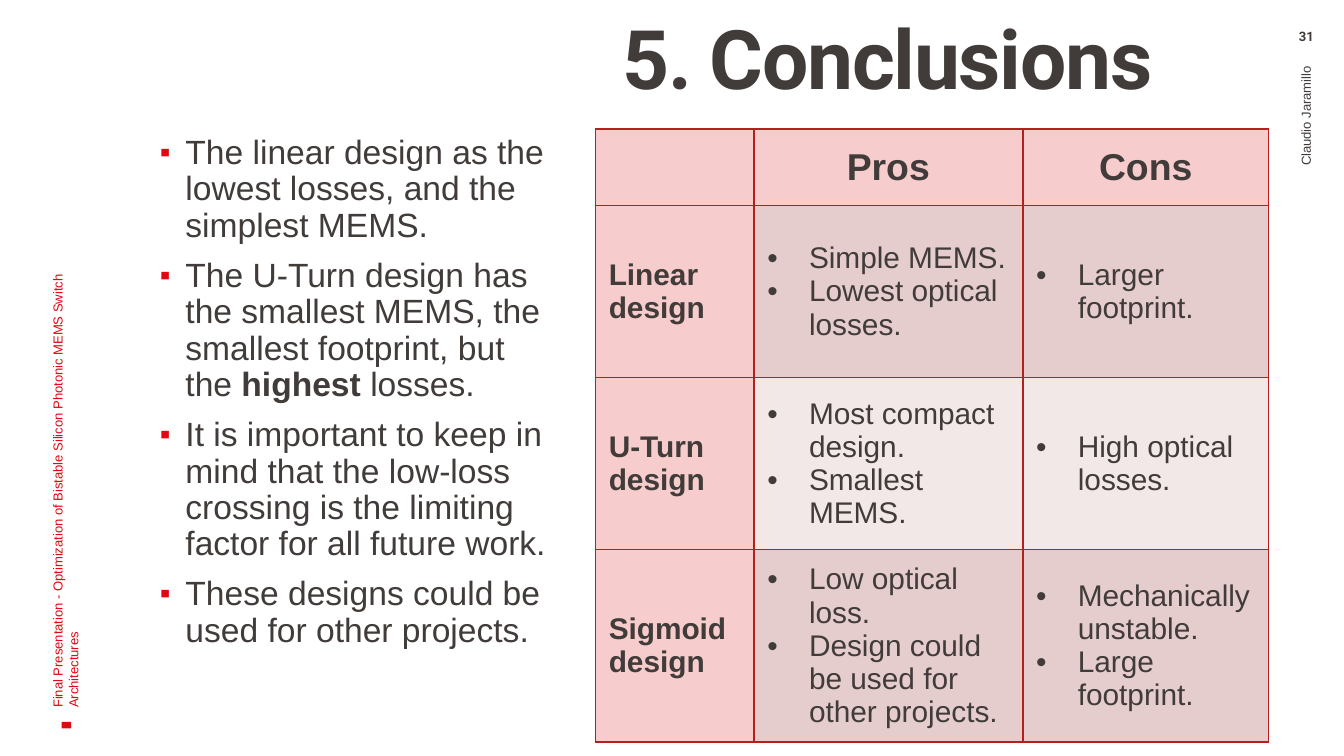
from pptx import Presentation, util as u
from pptx.dml.color import RGBColor
from pptx.enum import shapes, text
from pptx.oxml import parse_xml
from pptx.oxml.ns import nsdecls

DARK, RED, BORDER = "413C3A", "E30613", "B51F1F"
HEAD, BAND, LIGHT = "F6CCCC", "E5CDCD", "F3E8E8"
LEFT, CENTER, RIGHT = text.PP_ALIGN.LEFT, text.PP_ALIGN.CENTER, text.PP_ALIGN.RIGHT
TOP, MIDDLE = text.MSO_ANCHOR.TOP, text.MSO_ANCHOR.MIDDLE


def rgb(value):
    return RGBColor.from_string(value)


def add_xml(parent, tag, attrs="", inner=""):
    parent.append(parse_xml(f'<a:{tag} {nsdecls("a")} {attrs}>{inner}</a:{tag}>'))


class Deck:
    def __init__(self, width, height):
        self.prs = Presentation()
        self.prs.slide_width, self.prs.slide_height = u.Inches(width), u.Inches(height)
        self.s = self.prs.slides.add_slide(self.prs.slide_layouts[6])

    def run(self, p, words, size, color=DARK, bold=False, font="Arial", spacing=None):
        r = p.add_run()
        r.text = words
        r.font.name, r.font.size, r.font.bold = font, u.Pt(size), bold
        r.font.color.rgb = rgb(color)
        if spacing is not None:
            r.font._element.set("spc", str(int(spacing * 100)))

    def bullet(self, p, char, indent, color=None, percent=None):
        pPr = p._p.get_or_add_pPr()
        pPr.set("marL", str(u.Inches(indent)))
        pPr.set("indent", str(-u.Inches(indent)))
        if color:
            add_xml(pPr, "buClr", inner=f'<a:srgbClr val="{color}"/>')
        if percent:
            add_xml(pPr, "buSzPct", f'val="{percent * 1000}"')
        add_xml(pPr, "buFont", 'typeface="Arial"')
        add_xml(pPr, "buChar", f'char="{char}"')

    def frame(self, box, insets=(0.1, 0.05, 0.1, 0.05), anchor=TOP, rotation=0):
        sp = self.s.shapes.add_textbox(*map(u.Inches, box))
        sp.rotation = rotation
        tf = sp.text_frame
        tf.word_wrap, tf.vertical_anchor = True, anchor
        tf.margin_left, tf.margin_top, tf.margin_right, tf.margin_bottom = map(u.Inches, insets)
        return tf

    def label(self, box, words, size, align=LEFT, line=1.0, insets=(0.1, 0.05, 0.1, 0.05),
              anchor=TOP, rotation=0, **style):
        p = self.frame(box, insets, anchor, rotation).paragraphs[0]
        p.alignment, p.line_spacing = align, line
        self.run(p, words, size, **style)

    def bullets(self, box, items, size):
        tf = self.frame(box, (0.2, 0.05, 0.1, 0.05))
        for i, runs in enumerate(items):
            p = tf.add_paragraph() if i else tf.paragraphs[0]
            p.line_spacing, p.space_before = 0.9, u.Pt(7.5 if i else 0)
            self.bullet(p, "▪", 0.19, RED, 90)
            for words, bold in runs:
                self.run(p, words, size, bold=bold)

    def marker(self, box, color, rotation):
        sp = self.s.shapes.add_shape(shapes.MSO_SHAPE.RECTANGLE, *map(u.Inches, box))
        sp.shadow.inherit, sp.rotation = False, rotation
        sp.fill.solid()
        sp.fill.fore_color.rgb = rgb(color)
        sp.line.fill.background()

    def cell(self, cell, lines, fill, size, align=LEFT, bold=False, bulleted=False):
        tcPr = cell._tc.get_or_add_tcPr()
        for side in "LRTB":
            add_xml(tcPr, f"ln{side}", f'w="{u.Pt(1)}"',
                    f'<a:solidFill><a:srgbClr val="{BORDER}"/></a:solidFill>')
        cell.fill.solid()
        cell.fill.fore_color.rgb = rgb(fill)
        cell.vertical_anchor = MIDDLE
        for i, words in enumerate(lines):
            p = cell.text_frame.add_paragraph() if i else cell.text_frame.paragraphs[0]
            p.alignment = align
            if bulleted:
                self.bullet(p, "•", 0.31)
            self.run(p, words, size, bold=bold)

    def table(self, box, widths, heights, header, rows):
        frame = self.s.shapes.add_table(len(heights), len(widths), *map(u.Inches, box))
        t = frame.table
        t.first_row = t.horz_banding = False
        for column, width in zip(t.columns, widths):
            column.width = u.Inches(width)
        for row, height in zip(t.rows, heights):
            row.height = u.Inches(height)
        frame.height = u.Inches(box[3])  # the last row grows with its text
        for j, words in enumerate(header):
            self.cell(t.cell(0, j), [words] if words else [], HEAD, 20, CENTER, bold=True)
        for i, (name, *columns) in enumerate(rows, 1):
            self.cell(t.cell(i, 0), [name], HEAD, 16, bold=True)
            for j, lines in enumerate(columns, 1):
                self.cell(t.cell(i, j), lines, BAND if i % 2 else LIGHT, 16, bulleted=True)


def main():
    deck = Deck(10, 10 * 9 / 16)

    # Margins: running title, author and page number
    deck.marker((0.47, 5.36, 0.05, 0.07), RED, 270)
    deck.label((-1.34, 3.04, 3.65, 1),
               "Final Presentation - Optimization of Bistable Silicon Photonic MEMS Switch Architectures",
               7, anchor=MIDDLE, rotation=270, color=RED)
    deck.label((9.13, 0.7, 1.17, 0.56), "Claudio Jaramillo", 7, RIGHT, anchor=MIDDLE, rotation=270)
    deck.label((9.44, 0.21, 0.56, 0.18), "31", 7, CENTER, insets=(0.1, 0, 0.1, 0),
               bold=True, font="Roboto")

    # Title
    deck.label((4.43, 0.14, 4.58, 0.82), "5. Conclusions", 44, line=0.9,
               insets=(0.2, 0, 0.08, 0.05), bold=True, font="Roboto", spacing=-0.7)

    # Conclusions
    deck.bullets((0.99, 0.96, 3.26, 4.41), [
        [("The linear design as the lowest losses, and the simplest MEMS.", False)],
        [("The U-Turn design has the smallest MEMS, the smallest footprint, but the ", False),
         ("highest ", True), ("losses.", False)],
        [("It is important to keep in mind that the low-loss crossing is the limiting "
          "factor for all future work.", False)],
        [("These designs could be used for other projects.", False)],
    ], 18)

    # Comparison of the designs
    deck.table((4.43, 0.96, 5.01, 4.56), [1.18, 2, 1.83], [0.57] + [1.28] * 3,
               ["", "Pros", "Cons"], [
        ("Linear design", ["Simple MEMS.", "Lowest optical losses."], ["Larger footprint."]),
        ("U-Turn design", ["Most compact design.", "Smallest MEMS."], ["High optical losses."]),
        ("Sigmoid design", ["Low optical loss.", "Design could be used for other projects."],
         ["Mechanically unstable.", "Large footprint."]),
    ])

    deck.prs.save("out.pptx")


if __name__ == "__main__":
    main()
